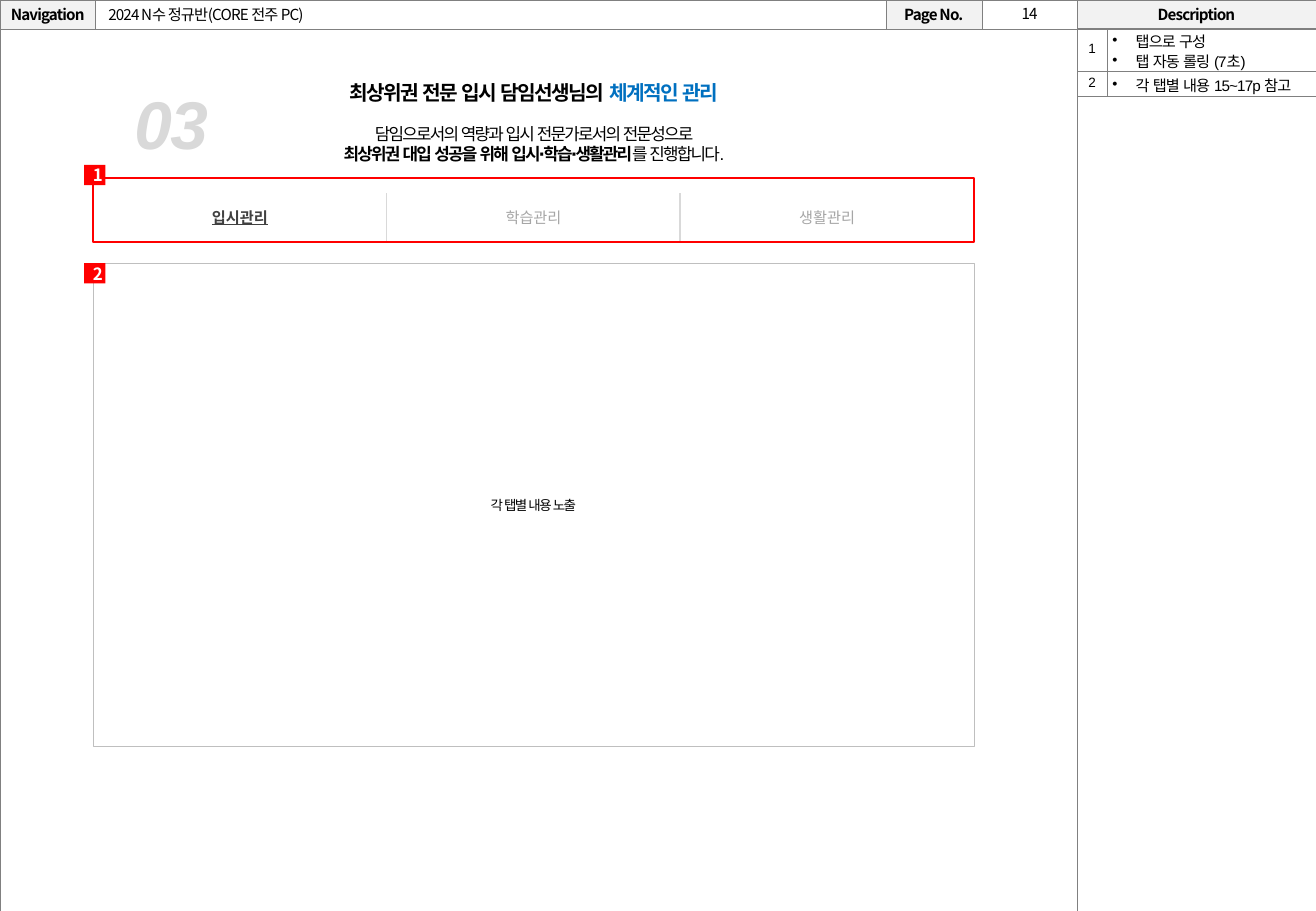
from dataclasses import dataclass, replace

from lxml.etree import SubElement
from pptx import Presentation
from pptx.dml.color import RGBColor
from pptx.enum.shapes import MSO_SHAPE as Shape
from pptx.enum.text import MSO_ANCHOR as Anchor, MSO_AUTO_SIZE as AutoSize, PP_ALIGN as Align
from pptx.oxml.ns import qn
from pptx.util import Pt

PX = 7620  # 120 px to the inch
WIDTH, HEIGHT = 1300, 900


@dataclass(frozen=True)
class Style:
    font: str
    size: int
    color: str = "000000"
    bold: bool = False
    italic: bool = False
    underline: bool = False
    tracking: float = 0
    asian_font: str = "DejaVu Sans"


class Theme:
    rule, head_fill, frame = "808080", "F2F2F2", "BFBFBF"
    tab_rule, marker = "D9D9D9", "FF0000"
    hairline, line = 0.25, 1
    nav = Style("Noto Sans CJK KR", 9, tracking=-0.5, asian_font="Noto Sans CJK KR")
    head = replace(nav, bold=True)
    headline = Style("Arial", 12, bold=True, tracking=-1)
    accent = replace(headline, color="0070C0")
    lead = Style("Arial", 10, tracking=-1)
    lead_bold = replace(lead, bold=True)
    section = Style("Arial", 40, "D9D9D9", bold=True, italic=True, tracking=-1)
    body = Style("Arial", 8, tracking=-1)
    note = Style("Arial", 9, tracking=-0.5)
    tab = Style("DejaVu Sans", 9, "A6A6A6")
    active_tab = replace(tab, color="404040", bold=True, underline=True)
    badge = replace(nav, size=10, color="FFFFFF", bold=True, tracking=0)


def px(*lengths):
    return [length * PX for length in lengths]


def rgb(color):
    return RGBColor.from_string(color)


def format_run(run, style):
    font = run.font
    font.name, font.size = style.font, Pt(style.size)
    font.bold, font.italic, font.underline = style.bold, style.italic, style.underline
    font.color.rgb = rgb(style.color)
    properties = run._r.get_or_add_rPr()
    properties.set("spc", str(round(style.tracking * 100)))
    asian = properties.makeelement(qn("a:ea"), typeface=style.asian_font)
    properties.find(qn("a:latin")).addnext(asian)


def write(frame, lines, align=Align.CENTER):
    """Fill a text frame; each line is a list of (text, style) pairs."""
    frame.text = "\n".join(line[0][0] for line in lines)
    for paragraph, line in zip(frame.paragraphs, lines):
        paragraph.alignment = align
        for text, _ in line[1:]:
            paragraph.add_run().text = text
        for run, (_, style) in zip(paragraph.runs, line):
            format_run(run, style)


def add_text(slide, box, lines, align=Align.CENTER):
    frame = slide.shapes.add_textbox(*px(*box)).text_frame
    frame.word_wrap = True
    write(frame, lines, align)
    return frame


def add_box(slide, box, fill=None, outline=None, weight=0):
    shape = slide.shapes.add_shape(Shape.RECTANGLE, *px(*box))
    shape.shadow.inherit = False
    if fill:
        shape.fill.solid()
        shape.fill.fore_color.rgb = rgb(fill)
    else:
        shape.fill.background()
    if outline:
        shape.line.color.rgb = rgb(outline)
        shape.line.width = Pt(weight)
    else:
        shape.line.fill.background()
    shape.text_frame.vertical_anchor = Anchor.MIDDLE
    return shape


def add_badge(slide, number, top):
    frame = add_box(slide, (83, top, 21, 20), Theme.marker).text_frame
    frame.margin_left, frame.margin_right = px(6, 0)
    frame.margin_top = frame.margin_bottom = 0
    frame.word_wrap = False
    write(frame, [[(number, Theme.badge)]])


def add_grid(slide, left, top, columns, rows):
    box = px(left, top, sum(columns), sum(rows))
    table = slide.shapes.add_table(len(rows), len(columns), *box).table
    table.first_row = table.horz_banding = False
    for column, width in zip(table.columns, columns):
        column.width = width * PX
    for row, height in zip(table.rows, rows):
        row.height = height * PX
    return table


def style_cell(cell, sides, color, weight, inset=None):
    """Rule the named sides (letters of LRTB) and clear the others."""
    properties = cell._tc.get_or_add_tcPr()
    for side in "LRTB":
        line = SubElement(properties, qn("a:ln" + side), w=str(Pt(weight)))
        if side in sides:
            SubElement(SubElement(line, qn("a:solidFill")), qn("a:srgbClr"), val=color)
        else:
            SubElement(line, qn("a:noFill"))
    cell.fill.background()
    cell.vertical_anchor = Anchor.MIDDLE
    if inset is not None:
        cell.margin_left = cell.margin_right = cell.margin_top = cell.margin_bottom = inset * PX


def add_bullets(frame):
    for paragraph in frame.paragraphs:
        properties = paragraph._p.get_or_add_pPr()
        properties.set("marL", str(23 * PX))
        properties.set("indent", str(-23 * PX))
        SubElement(properties, qn("a:buChar"), char="•")


def add_page_grid(slide):
    table = add_grid(slide, 0, 0, (94, 781, 95, 94, 236), (29, 871))
    table.cell(1, 0).merge(table.cell(1, 3))
    for cell in table.iter_cells():
        style_cell(cell, "LRTB", Theme.rule, Theme.hairline, inset=0)
        # Keeps the empty cells from stretching the header row
        SubElement(cell.text_frame.paragraphs[0]._p, qn("a:endParaRPr"), sz="900")
    for column, label in ((0, "Navigation"), (2, "Page No."), (4, "Description")):
        cell = table.cell(0, column)
        cell.fill.solid()
        cell.fill.fore_color.rgb = rgb(Theme.head_fill)
        cell.margin_bottom = PX
        write(cell.text_frame, [[(label, Theme.head)]])


def add_tabs(slide, labels):
    table = add_grid(slide, 92, 191, [290] * len(labels), [49])
    for index, label in enumerate(labels):
        sides = ("L" if index else "") + ("R" if index < len(labels) - 1 else "")
        cell = table.cell(0, index)
        style_cell(cell, sides, Theme.tab_rule, Theme.line)
        write(cell.text_frame, [[(label, Theme.tab if index else Theme.active_tab)]])


def add_descriptions(slide, notes):
    table = add_grid(slide, 1064, 28, (30, 206), (42, 25))
    for row, lines in enumerate(notes):
        number, note = table.cell(row, 0), table.cell(row, 1)
        style_cell(number, "RTB", Theme.rule, Theme.hairline, inset=5)
        style_cell(note, "LTB", Theme.rule, Theme.hairline, inset=5)
        note.margin_top, note.margin_bottom = px(6, 0)
        write(number.text_frame, [[(str(row + 1), Theme.body)]])
        write(note.text_frame, [[(line, Theme.note)] for line in lines], Align.LEFT)
        for cell in (number, note):
            for paragraph in cell.text_frame.paragraphs:
                paragraph.line_spacing = 0.9
        for paragraph in note.text_frame.paragraphs[1:]:
            paragraph.space_before = Pt(2)
        add_bullets(note.text_frame)


def set_title(slide, text):
    title = slide.shapes.title
    title.left, title.top, title.width, title.height = px(95, 0, 782, 28)
    frame = title.text_frame
    frame.auto_size = AutoSize.NONE
    frame.vertical_anchor = Anchor.MIDDLE
    write(frame, [[(text, Theme.nav)]], Align.LEFT)


def main():
    deck = Presentation()
    deck.slide_width, deck.slide_height = px(WIDTH, HEIGHT)
    slide = deck.slides.add_slide(deck.slide_layouts[5])

    set_title(slide, "2024 N수 정규반(CORE 전주 PC)")
    add_page_grid(slide)
    add_text(slide, (971, -2, 92, 30), [[("14", Theme.nav)]])

    intro = add_text(slide, (93, 73, 869, 118), [
        [("최상위권 전문 입시 담임선생님의 ", Theme.headline), ("체계적인 관리", Theme.accent)],
        [("담임으로서의 역량과 입시 전문가로서의 전문성으로", Theme.lead)],
        [("최상위권 대입 성공을 위해 입시∙학습∙생활관리", Theme.lead_bold), ("를 진행합니다.", Theme.lead)],
    ])
    intro.paragraphs[1].space_before = Pt(11.5)
    add_text(slide, (121, 75, 104, 92), [[("03", Theme.section)]], Align.LEFT)

    content = add_box(slide, (92, 260, 870, 477), "FFFFFF", Theme.frame, Theme.hairline)
    write(content.text_frame, [[("각 탭별 내용 노출", Theme.body)]])
    add_tabs(slide, ("입시관리", "학습관리", "생활관리"))
    add_box(slide, (92, 176, 870, 63), outline=Theme.marker, weight=Theme.line)
    add_badge(slide, "1", 163)
    add_badge(slide, "2", 260)
    add_descriptions(slide, (("탭으로 구성", "탭 자동 롤링 (7초)"), ("각 탭별 내용 15~17p 참고",)))

    deck.save("out.pptx")


if __name__ == "__main__":
    main()
